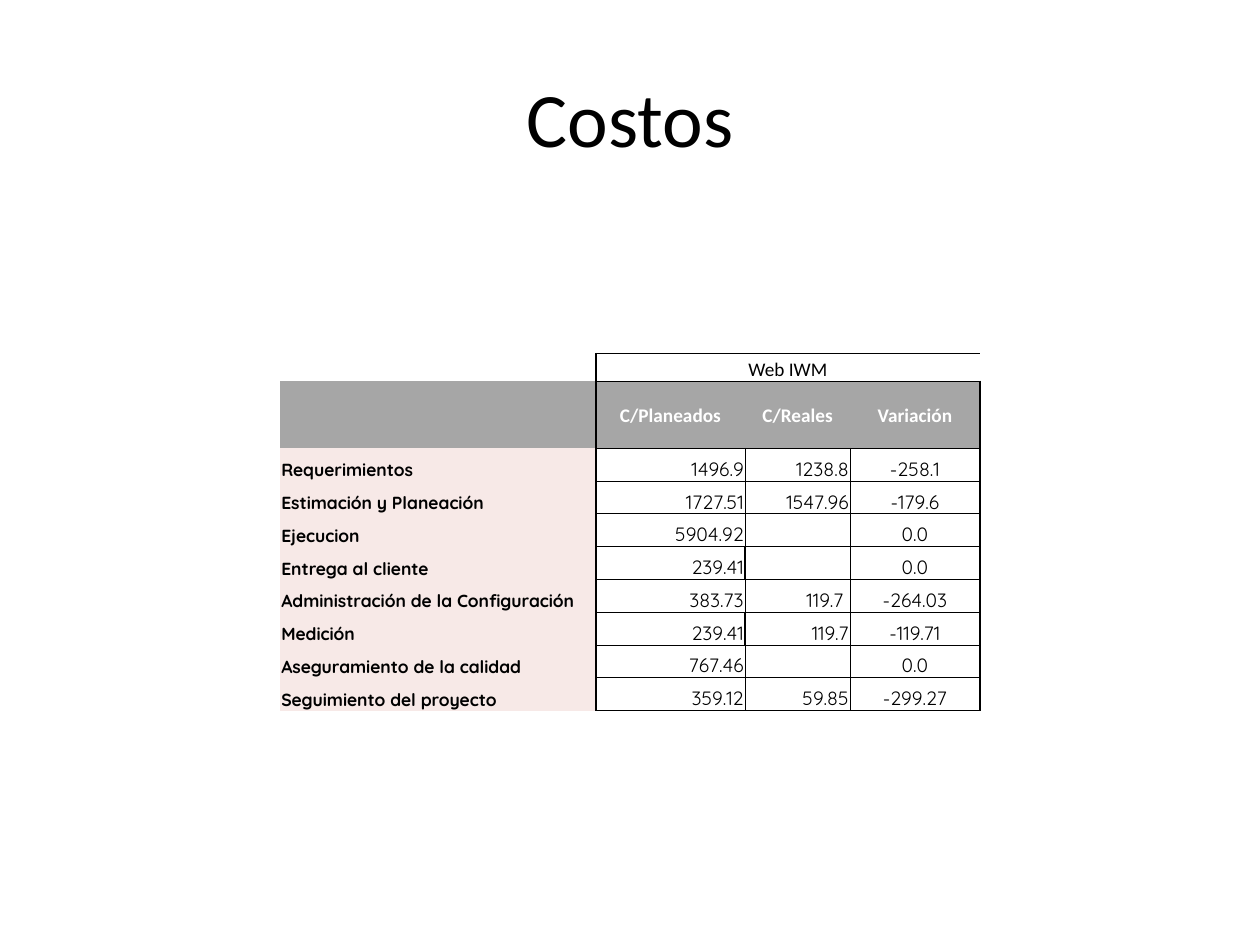
from dataclasses import dataclass

import pptx
import pptx.dml.color
import pptx.enum.text
import pptx.oxml
import pptx.oxml.ns
import pptx.table
import pptx.text.text
import pptx.util

Pt = pptx.util.Pt
Align = pptx.enum.text.PP_ALIGN
Anchor = pptx.enum.text.MSO_ANCHOR


@dataclass(frozen=True)
class Theme:
    ink: str = "000000"
    paper: str = "FFFFFF"
    header: str = "A6A6A6"
    label: str = "F7E9E7"
    body_font: str = "Calibri"
    figure_font: str = "Quicksand"
    title_size: float = 44
    body_size: float = 11
    label_size: float = 10
    thin: float = 0.5
    thick: float = 1


@dataclass(frozen=True)
class Activity:
    name: str
    planned: str
    actual: str
    variance: str
    thick_divider: bool = False


THEME = Theme()
HEADINGS = ("", "C/Planeados", "C/Reales", "Variación")
ACTIVITIES = (
    Activity("Requerimientos", "1496.9", "1238.8", "-258.1"),
    Activity("Estimación y Planeación", "1727.51", "1547.96", "-179.6"),
    Activity("Ejecucion", "5904.92", "", "0.0"),
    Activity("Entrega al cliente", "239.41", "", "0.0", True),
    Activity("Administración de la Configuración", "383.73", "119.7\u00a0", "-264.03"),
    Activity("Medición", "239.41", "119.7", "-119.71", True),
    Activity("Aseguramiento de la calidad", "767.46", "", "0.0"),
    Activity("Seguimiento del proyecto", "359.12", "59.85", "-299.27"),
)
COLUMN_WIDTHS = (180.6, 85.2, 60, 74.2)
ROW_HEIGHTS = (16, 38.2) + (18.76,) * len(ACTIVITIES)
FIGURE_ALIGNS = (Align.RIGHT, Align.RIGHT, Align.CENTER)


def write(frame: pptx.text.text.TextFrame, text: str, *, size: float = THEME.body_size,
          font: str = THEME.body_font, color: str = THEME.ink, bold: bool = False,
          align: Align = Align.CENTER) -> None:
    paragraph = frame.paragraphs[0]
    paragraph.alignment = align
    if not text:
        paragraph._p.append(pptx.oxml.parse_xml(
            f'<a:endParaRPr {pptx.oxml.ns.nsdecls("a")} sz="{int(size * 100)}"/>'))
        return
    run = paragraph.add_run()
    run.text = text
    run.font.size = Pt(size)
    run.font.name = font
    run.font.bold = bold
    run.font.color.rgb = pptx.dml.color.RGBColor.from_string(color)


def style_cell(cell: pptx.table._Cell, *, fill: str = "", anchor: Anchor = Anchor.BOTTOM,
               left: float = 0, right: float = 0, top: float = 0, bottom: float = 0) -> None:
    cell.margin_left = cell.margin_right = cell.margin_top = Pt(0.75)
    cell.margin_bottom = Pt(0)
    cell.vertical_anchor = anchor
    properties = cell._tc.get_or_add_tcPr()
    for side, width in zip("LRTB", (left, right, top, bottom)):
        paint = f'<a:solidFill><a:srgbClr val="{THEME.ink}"/></a:solidFill>' if width else "<a:noFill/>"
        properties.append(pptx.oxml.parse_xml(
            f'<a:ln{side} {pptx.oxml.ns.nsdecls("a")} w="{int(Pt(width))}">{paint}</a:ln{side}>'))
    if fill:
        cell.fill.solid()
        cell.fill.fore_color.rgb = pptx.dml.color.RGBColor.from_string(fill)
    else:
        cell.fill.background()


def draw_headings(costs: pptx.table.Table) -> None:
    thick = THEME.thick
    costs.cell(0, 1).merge(costs.cell(0, 3))
    for column, heading in enumerate(HEADINGS):
        is_figure = column > 0
        left = thick if column == 1 else 0
        right = thick if column in (0, 3) else 0
        group = costs.cell(0, column)
        style_cell(group, left=left, right=right,
                   top=thick if is_figure else 0, bottom=thick if is_figure else 0)
        write(group.text_frame, "Web IWM" if column == 1 else "")
        cell = costs.cell(1, column)
        style_cell(cell, fill=THEME.header, anchor=Anchor.MIDDLE, left=left, right=right,
                   top=thick if is_figure else 0, bottom=THEME.thin if is_figure else 0)
        write(cell.text_frame, heading, color=THEME.paper, bold=True)


def draw_activity(costs: pptx.table.Table, row: int, activity: Activity) -> None:
    thin, thick = THEME.thin, THEME.thick
    label = costs.cell(row, 0)
    style_cell(label, fill=THEME.label, right=thick)
    write(label.text_frame, activity.name, size=THEME.label_size, font=THEME.figure_font,
          bold=True, align=Align.LEFT)
    divider = thick if activity.thick_divider else thin
    edges = (thick, divider, thin, thick)
    bottom = thick if row == len(ROW_HEIGHTS) - 1 else thin
    figures = (activity.planned, activity.actual, activity.variance)
    for index, (figure, align) in enumerate(zip(figures, FIGURE_ALIGNS)):
        cell = costs.cell(row, index + 1)
        style_cell(cell, left=edges[index], right=edges[index + 1], top=thin, bottom=bottom)
        write(cell.text_frame, figure, font=THEME.figure_font, align=align)


presentation = pptx.Presentation()
presentation.slide_width, presentation.slide_height = Pt(720), Pt(540)
slide = presentation.slides.add_slide(presentation.slide_layouts[6])

title = slide.shapes.add_textbox(Pt(36), Pt(21.6), Pt(648), Pt(90)).text_frame
title.word_wrap = True
title.vertical_anchor = Anchor.MIDDLE
write(title, "Costos", size=THEME.title_size)

costs = slide.shapes.add_table(
    len(ROW_HEIGHTS), len(COLUMN_WIDTHS), Pt(160), Pt(202),
    Pt(sum(COLUMN_WIDTHS)), Pt(sum(ROW_HEIGHTS))).table
costs.first_row = costs.horz_banding = False
for column, width in zip(costs.columns, COLUMN_WIDTHS):
    column.width = Pt(width)
for row, height in zip(costs.rows, ROW_HEIGHTS):
    row.height = Pt(height)

draw_headings(costs)
for row, activity in enumerate(ACTIVITIES, start=2):
    draw_activity(costs, row, activity)

presentation.save("out.pptx")
